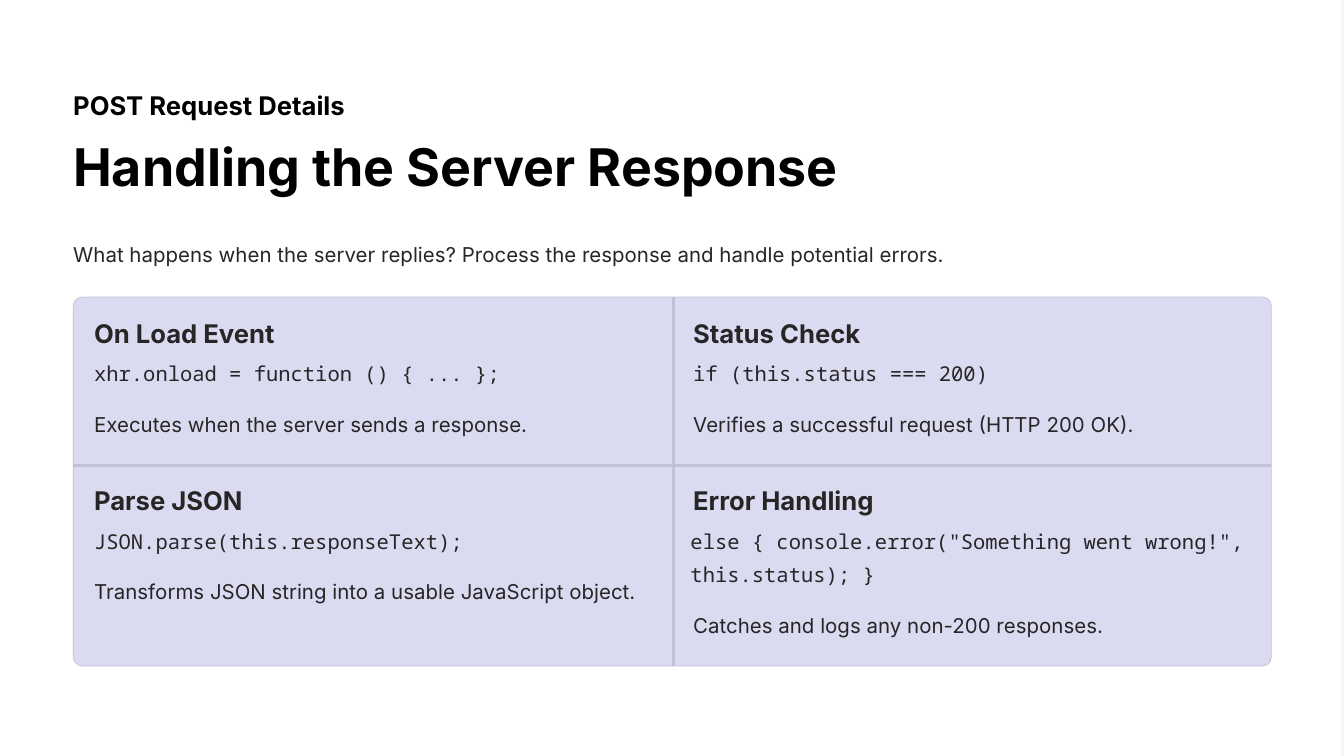
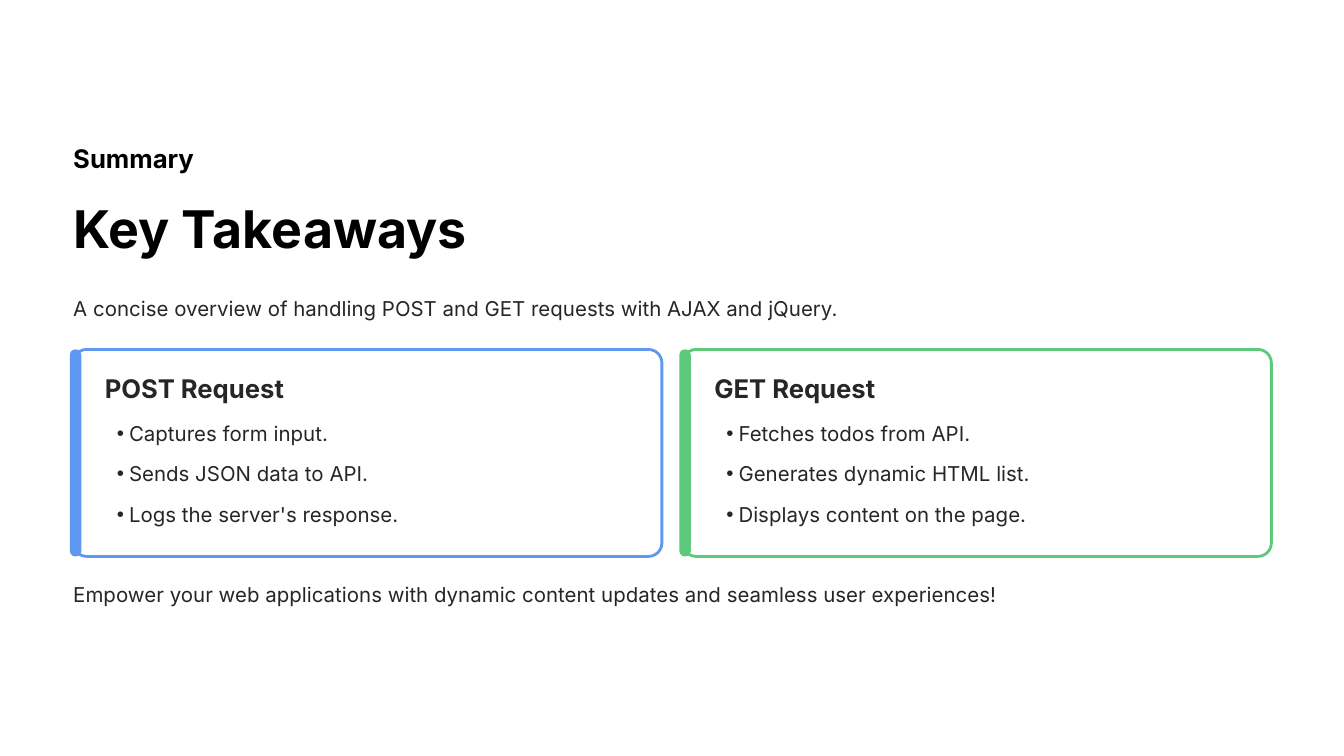
from typing import NamedTuple

from lxml import etree
from pptx import Presentation
from pptx.dml.color import RGBColor
from pptx.enum.shapes import MSO_CONNECTOR as Connector, MSO_SHAPE as Shape
from pptx.enum.text import MSO_ANCHOR as Anchor, MSO_AUTO_SIZE as AutoSize, PP_ALIGN as Align
from pptx.oxml.ns import qn
from pptx.util import Inches, Pt

COLORS = {
    "paper": "FFFFFF",
    "edge": "F6F4F4",
    "title": "000000",
    "text": "272525",
    "grid": "DADBF1",
    "rule": "C0C1D7",
    "post": "5E98F1",
    "get": "5CC97B",
}
LEFT, CONTENT_WIDTH = 1.09, 17.83
HEADING_HEIGHT, LINE_HEIGHT = 0.48, 0.5


class TextStyle(NamedTuple):
    size: float
    leading: float
    color: str = "text"
    bold: bool = False
    font: str = "Inter"


KICKER = TextStyle(27.5, 34.4, "title", True)
TITLE = TextStyle(55.6, 69.4, "title", True)
HEADING = TextStyle(27.5, 34.4, bold=True)
BODY = TextStyle(21.9, 35.6)
CODE = TextStyle(21.9, 35.6, font="Noto Sans Mono")


class Box(NamedTuple):
    left: float
    top: float
    width: float
    height: float

    def inches(self):
        return [Inches(value) for value in self]


def rgb(name):
    return RGBColor.from_string(COLORS[name])


def add_bullet(paragraph):
    properties = paragraph._p.get_or_add_pPr()
    properties.set("marL", str(Inches(0.36)))
    properties.set("indent", str(Inches(-0.18)))
    color = etree.SubElement(properties, qn("a:buClr"))
    etree.SubElement(color, qn("a:srgbClr")).set("val", COLORS["text"])
    etree.SubElement(properties, qn("a:buChar")).set("char", "•")


def write_lines(frame, lines, style, bulleted=False, gap=0):
    frame.margin_left = frame.margin_right = frame.margin_top = frame.margin_bottom = 0
    frame.word_wrap = True
    frame.auto_size = AutoSize.NONE
    frame.vertical_anchor = Anchor.TOP
    for index, line in enumerate(lines):
        paragraph = frame.add_paragraph() if index else frame.paragraphs[0]
        if bulleted:
            add_bullet(paragraph)
        paragraph.alignment = Align.LEFT
        paragraph.line_spacing = Pt(style.leading)
        paragraph.space_before = Pt(gap if index else 0)
        run = paragraph.add_run()
        run.text = line
        run.font.name = style.font
        run.font.size = Pt(style.size)
        run.font.bold = style.bold
        run.font.color.rgb = rgb(style.color)


def add_text(slide, box, text, style):
    write_lines(slide.shapes.add_textbox(*box.inches()).text_frame, [text], style)


def fill_placeholder(placeholder, box, lines, style, **options):
    placeholder.left, placeholder.top, placeholder.width, placeholder.height = box.inches()
    write_lines(placeholder.text_frame, lines, style, **options)


def add_panel(slide, box, fill, line=None, line_width=0.75, radius=0):
    kind = Shape.ROUNDED_RECTANGLE if radius else Shape.RECTANGLE
    panel = slide.shapes.add_shape(kind, *box.inches())
    panel.shadow.inherit = False
    if radius:
        panel.adjustments[0] = radius / min(box.width, box.height)
    panel.fill.solid()
    panel.fill.fore_color.rgb = rgb(fill)
    if line:
        panel.line.color.rgb = rgb(line)
        panel.line.width = Pt(line_width)
    else:
        panel.line.fill.background()


def add_divider(slide, x1, y1, x2, y2):
    ends = [Inches(value) for value in (x1, y1, x2, y2)]
    divider = slide.shapes.add_connector(Connector.STRAIGHT, *ends)
    divider.line.color.rgb = rgb("rule")
    divider.line.width = Pt(3)
    etree.SubElement(divider._element.spPr, qn("a:effectLst"))


def set_background(slide, color):
    slide.background.fill.solid()
    slide.background.fill.fore_color.rgb = rgb(color)


def add_header(slide, top, title_offset, title_width, kicker, title, lead):
    """Place the kicker, title and lead line, measured down from top."""
    add_text(slide, Box(LEFT, top, 4.1, HEADING_HEIGHT), kicker, KICKER)
    title_box = Box(LEFT, top + title_offset, title_width, 0.96)
    fill_placeholder(slide.shapes.title, title_box, [title], TITLE)
    add_text(slide, Box(LEFT, top + 2.16, CONTENT_WIDTH, LINE_HEIGHT), lead, BODY)


def add_step(slide, box, heading, code, note, code_lines=1):
    left, width = box.left + 0.31, box.width - 0.62
    code_height = code_lines * LINE_HEIGHT
    code_left = left if code_lines == 1 else left - 0.04
    add_text(slide, Box(left, box.top + 0.29, 3.88, HEADING_HEIGHT), heading, HEADING)
    add_text(slide, Box(code_left, box.top + 0.83, width, code_height), code, CODE)
    add_text(slide, Box(left, box.top + 1.08 + code_height, width, LINE_HEIGHT), note, BODY)


def add_step_grid(slide, box, steps):
    """Lay out rows of two steps, the second row being taller for its wrapped code."""
    add_panel(slide, box, "grid", "rule", radius=0.13)
    cell_width = box.width / 2
    top = box.top
    for row, (height, row_steps) in enumerate(zip((2.49, 3.0), steps)):
        for column, step in enumerate(row_steps):
            cell = Box(box.left + column * cell_width, top, cell_width, height)
            if column:
                x = cell.left + 0.02
                add_divider(slide, x, cell.top, x, cell.top + cell.height)
            if row:
                y = cell.top + 0.02
                add_divider(slide, cell.left, y, cell.left + cell.width, y)
            add_step(slide, cell, *step)
        top += height


def add_takeaway_card(slide, box, placeholder, color, heading, points):
    add_panel(slide, box, "paper", color, line_width=3, radius=0.2)
    add_panel(slide, Box(box.left - 0.05, box.top, 0.17, box.height), color, radius=0.08)
    left = box.left + 0.47
    add_text(slide, Box(left, box.top + 0.33, 3.88, HEADING_HEIGHT), heading, HEADING)
    points_box = Box(left, box.top + 0.93, box.width - 0.83, 1.71)
    fill_placeholder(placeholder, points_box, points, BODY, bulleted=True, gap=8)
    # Placeholders come first in the stack, so lift the list above its card.
    slide.shapes._spTree.append(placeholder._element)


def build_response_slide(deck):
    slide = deck.slides.add_slide(deck.slide_layouts.get_by_name("Title Only"))
    set_background(slide, "edge")
    add_panel(slide, Box(0, 0, 19.96, 11.25), "paper")
    slide.shapes._spTree.append(slide.shapes.title._element)
    add_header(slide, 1.32, 0.65, 11.71, "POST Request Details",
               "Handling the Server Response",
               "What happens when the server replies? "
               "Process the response and handle potential errors.")
    steps = [
        [("On Load Event", "xhr.onload = function () { ... };",
          "Executes when the server sends a response."),
         ("Status Check", "if (this.status === 200)",
          "Verifies a successful request (HTTP 200 OK).")],
        [("Parse JSON", "JSON.parse(this.responseText);",
          "Transforms JSON string into a usable JavaScript object."),
         ("Error Handling",
          'else { console.error("Something went wrong!", this.status); }',
          "Catches and logs any non-200 responses.", 2)],
    ]
    add_step_grid(slide, Box(LEFT, 4.42, CONTENT_WIDTH, 5.49), steps)


def build_takeaways_slide(deck):
    slide = deck.slides.add_slide(deck.slide_layouts.get_by_name("Two Content"))
    set_background(slide, "paper")
    add_header(slide, 2.11, 0.78, 7.75, "Summary", "Key Takeaways",
               "A concise overview of handling POST and GET requests with AJAX and jQuery.")
    cards = [
        ("post", "POST Request",
         ["Captures form input.", "Sends JSON data to API.", "Logs the server's response."]),
        ("get", "GET Request",
         ["Fetches todos from API.", "Generates dynamic HTML list.",
          "Displays content on the page."]),
    ]
    gap = 0.31
    card_width = (CONTENT_WIDTH - gap) / 2
    for index, card in enumerate(cards):
        box = Box(LEFT + index * (card_width + gap), 5.2, card_width, 3.08)
        add_takeaway_card(slide, box, slide.placeholders[index + 1], *card)
    add_text(slide, Box(LEFT, 8.53, CONTENT_WIDTH, LINE_HEIGHT),
             "Empower your web applications with dynamic content updates "
             "and seamless user experiences!", BODY)


def main():
    deck = Presentation()
    deck.slide_width, deck.slide_height = Inches(20), Inches(11.25)
    build_response_slide(deck)
    build_takeaways_slide(deck)
    deck.save("out.pptx")


if __name__ == "__main__":
    main()
